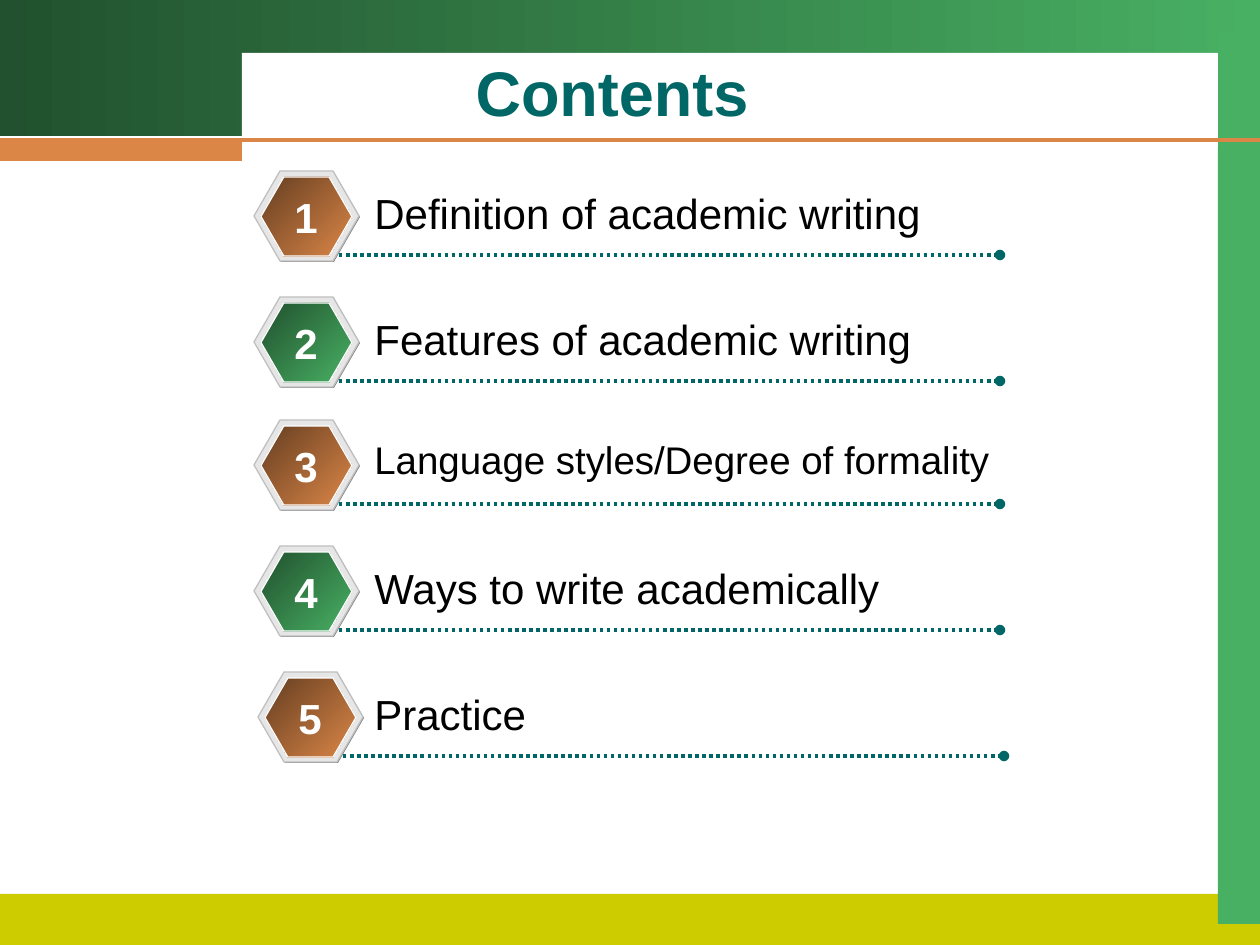
import pptx
import pptx.dml.color
import pptx.enum.dml
import pptx.enum.shapes
import pptx.enum.text
import pptx.oxml.ns
import pptx.util
from lxml import etree

PX = 914400 / 126
FONT = "Arial"
COLORS = {
    "dark_green": "21512E", "green": "48B063", "teal": "006666",
    "brown": "653E21", "orange": "DB8647", "olive": "CCCC00",
    "white": "FFFFFF", "black": "000000",
    "shadow": "808080", "bevel": "E6E6E6", "bevel_edge": "C0C0C0",
}
BROWN_FACE = ("brown", "orange")
GREEN_FACE = ("dark_green", "green")
# badge left, row top, label, label size
ROWS = [
    (254, 171, "Definition of academic writing", 24),
    (254, 297, "Features of academic writing", 24),
    (254, 420, "Language styles/Degree of formality", 22),
    (254, 546, "Ways to write academically", 24),
    (258, 672, "Practice", 24),
]
LABEL_LEFT = 362


def emu(*lengths):
    return [pptx.util.Emu(round(length * PX)) for length in lengths]


def color(name):
    return pptx.dml.color.RGBColor.from_string(COLORS[name])


def add_filled(shapes, kind, box, fill, angle=0, line=None):
    """Add a preset shape; fill is a colour name or a pair for a gradient."""
    shape = shapes.add_shape(kind, *emu(*box))
    shape.shadow.inherit = False
    if isinstance(fill, tuple):
        shape.fill.gradient()
        shape.fill.gradient_angle = angle
        for stop, name, position in zip(shape.fill.gradient_stops, fill, (0, 1)):
            stop.color.rgb = color(name)
            stop.position = position
    else:
        shape.fill.solid()
        shape.fill.fore_color.rgb = color(fill)
    if line:
        shape.line.color.rgb = color(line)
        shape.line.width = pptx.util.Pt(0.75)
    else:
        shape.line.fill.background()
    return shape


def add_rectangle(shapes, box, fill):
    return add_filled(shapes, pptx.enum.shapes.MSO_SHAPE.RECTANGLE, box, fill)


def add_hexagon(shapes, box, fill, line=None):
    shape = add_filled(shapes, pptx.enum.shapes.MSO_SHAPE.HEXAGON, box, fill, 315, line)
    shape.adjustments[0] = 0.289
    shape.adjustments[1] = 1.155


def add_line(shapes, start, end, name, width, dash=None, tail=None):
    line = shapes.add_connector(pptx.enum.shapes.MSO_CONNECTOR.STRAIGHT, *emu(*start, *end))
    line.line.color.rgb = color(name)
    line.line.width = pptx.util.Pt(width)
    if dash:
        line.line.dash_style = dash
    if tail:
        outline = line.line._get_or_add_ln()
        etree.SubElement(outline, pptx.oxml.ns.qn("a:tailEnd"), type=tail)
    etree.SubElement(line._element.spPr, pptx.oxml.ns.qn("a:effectLst"))


def add_text(shapes, box, text, size=24, name="black", bold=False, centered=False,
             wrap=True, anchor=pptx.enum.text.MSO_ANCHOR.TOP):
    frame = shapes.add_textbox(*emu(*box)).text_frame
    frame.word_wrap = wrap
    frame.vertical_anchor = anchor
    paragraph = frame.paragraphs[0]
    if centered:
        paragraph.alignment = pptx.enum.text.PP_ALIGN.CENTER
    run = paragraph.add_run()
    run.text = text
    run.font.name = FONT
    run.font.size = pptx.util.Pt(size)
    run.font.bold = bold
    run.font.color.rgb = color(name)


def add_frame(shapes, width, height):
    """Draw the coloured bands around the page and the rule under the title."""
    side, panel_left, panel_top, rule = 42, 242, 53, 140
    panel_right = width - side
    add_rectangle(shapes, (0, 0, width, 136), GREEN_FACE)
    add_rectangle(shapes, (0, 894, width, height - 894), "olive")
    add_rectangle(shapes, (panel_right, 31, side, 893), "green")
    add_rectangle(shapes, (panel_left, panel_top, panel_right - panel_left, 94), "white")
    add_line(shapes, (0, rule), (width, rule), "orange", 2.25)
    add_rectangle(shapes, (0, rule, panel_left, 21), "orange")


def add_title(shapes, box):
    add_text(shapes, box, "Contents", size=36, name="teal", bold=True, centered=True,
             anchor=pptx.enum.text.MSO_ANCHOR.MIDDLE)


def add_row(shapes, left, top, number, label, label_size):
    """Draw a numbered hexagon, its label and the dotted line below."""
    row = shapes.add_group_shape().shapes
    face = BROWN_FACE if number % 2 else GREEN_FACE
    add_hexagon(row, (left + 1, top + 1, 105, 90), "shadow")
    add_hexagon(row, (left, top, 105, 90), "bevel", "bevel_edge")
    add_hexagon(row, (left + 7, top + 6, 91, 79), face, "white")
    add_line(row, (left + 85, top + 84), (left + 746, top + 84), "teal", 2,
             pptx.enum.dml.MSO_LINE.ROUND_DOT, "oval")
    add_text(row, (LABEL_LEFT, top + 10, 672, 63), label, size=label_size)
    add_text(row, (left + 28, top + 14, 48, 63), str(number), name="white", bold=True,
             centered=True, wrap=False)


def main():
    width, height = 1260, 945
    presentation = pptx.Presentation()
    presentation.slide_width, presentation.slide_height = emu(width, height)
    shapes = presentation.slides.add_slide(presentation.slide_layouts[6]).shapes
    add_frame(shapes, width, height)
    add_title(shapes, (364, 49, 496, 85))
    for number, (left, top, label, size) in enumerate(ROWS, 1):
        add_row(shapes, left, top, number, label, size)
    presentation.save("out.pptx")


if __name__ == "__main__":
    main()
